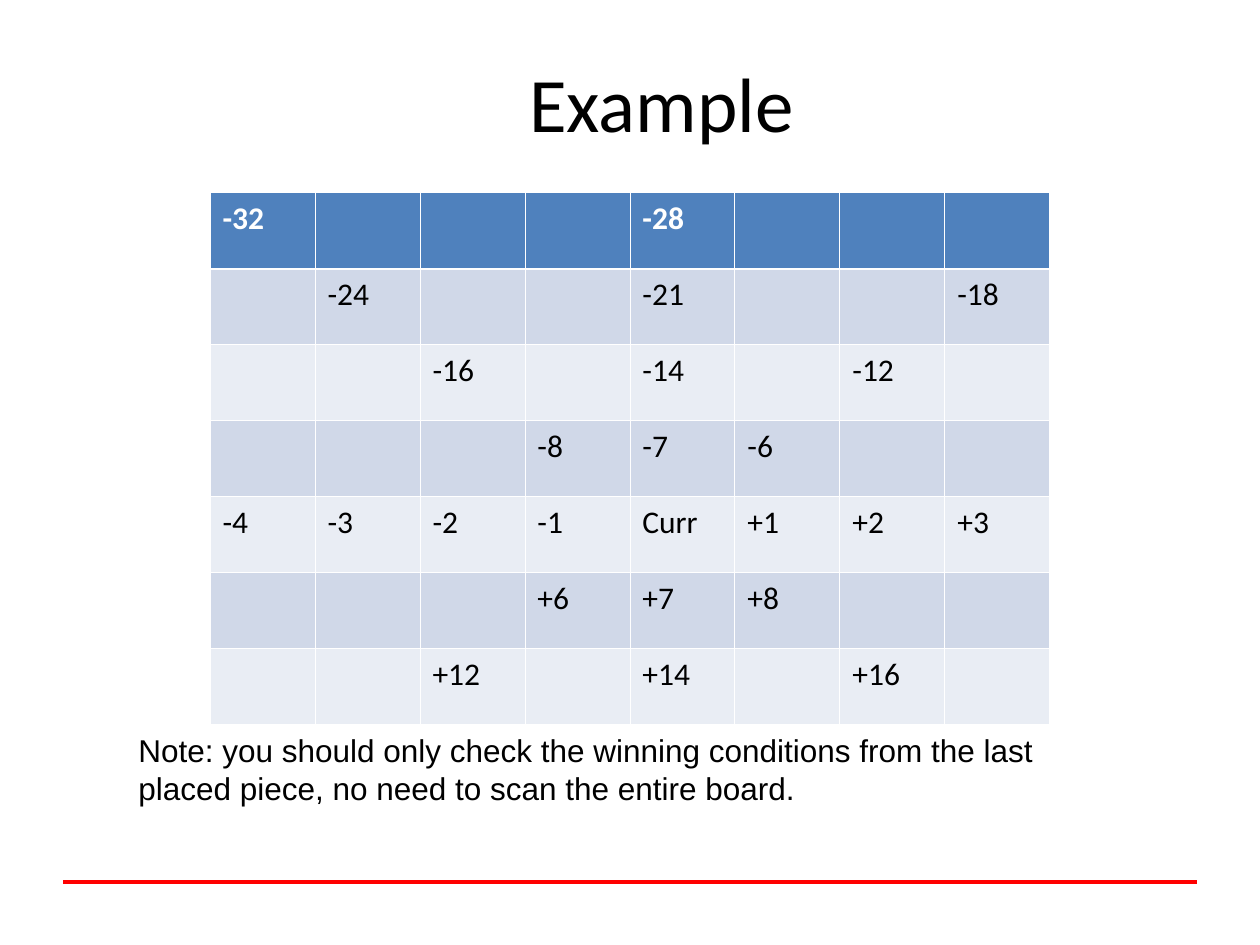
from dataclasses import dataclass

from lxml.etree import SubElement
from pptx import Presentation
from pptx.dml.color import RGBColor
from pptx.enum.shapes import MSO_CONNECTOR
from pptx.enum.text import MSO_ANCHOR, PP_ALIGN
from pptx.oxml.ns import qn
from pptx.util import Inches, Pt


@dataclass(frozen=True)
class Theme:
    heading_font: str = "Calibri"
    note_font: str = "Arial"
    title_size: float = 44
    body_size: float = 18
    text: str = "000000"
    light: str = "FFFFFF"
    header: str = "4F81BD"
    bands: tuple = ("E9EDF4", "D0D8E8")  # even rows, odd rows
    rule: str = "FF0000"
    thin: float = 0.45
    thick: float = 1.47


THEME = Theme()
WIDTH, HEIGHT = Inches(10), Inches(7.5)
ROWS, COLUMNS = 7, 8
STEP = 7  # index distance between neighbouring rows
CURRENT_ROW, CURRENT_COLUMN = 4, 4


def share(left, top, width, height):
    """Turn shares of the slide into a box."""
    return (round(left * WIDTH), round(top * HEIGHT),
            round(width * WIDTH), round(height * HEIGHT))


def style_font(paragraph, name, size, color, bold=False):
    font = paragraph.font
    font.name, font.size, font.bold = name, Pt(size), bold
    font.color.rgb = RGBColor.from_string(color)


def add_title(slide, box, text):
    title = slide.shapes.title
    title.left, title.top, title.width, title.height = box
    title.text_frame.text = text
    title.text_frame.vertical_anchor = MSO_ANCHOR.MIDDLE
    paragraph = title.text_frame.paragraphs[0]
    paragraph.alignment = PP_ALIGN.CENTER
    style_font(paragraph, THEME.heading_font, THEME.title_size, THEME.text)


def offset_label(row, column):
    """Index offset of squares on a line through the current square."""
    down, across = row - CURRENT_ROW, column - CURRENT_COLUMN
    if down == across == 0:
        return "Curr"
    if 0 in (down, across) or abs(down) == abs(across):
        return f"{STEP * down + across:+d}"
    return ""


def set_borders(cell, row):
    widths = {"lnL": THEME.thin, "lnR": THEME.thin,
              "lnT": THEME.thick if row == 1 else THEME.thin,
              "lnB": THEME.thick if row == 0 else THEME.thin}
    properties = cell._tc.get_or_add_tcPr()
    for side, width in widths.items():
        line = SubElement(properties, qn(f"a:{side}"), w=str(Pt(width)))
        fill = SubElement(line, qn("a:solidFill"))
        SubElement(fill, qn("a:srgbClr"), val=THEME.light)


def add_board(slide, box):
    table = slide.shapes.add_table(ROWS, COLUMNS, *box).table
    table.horz_banding = False
    for column in table.columns:
        column.width = box[2] // COLUMNS
    for row_index, row in enumerate(table.rows):
        row.height = box[3] // ROWS
        is_header = row_index == 0
        fill = THEME.header if is_header else THEME.bands[row_index % 2]
        color = THEME.light if is_header else THEME.text
        for column_index, cell in enumerate(row.cells):
            set_borders(cell, row_index)
            cell.fill.solid()
            cell.fill.fore_color.rgb = RGBColor.from_string(fill)
            cell.text = offset_label(row_index, column_index)
            style_font(cell.text_frame.paragraphs[0], THEME.heading_font,
                       THEME.body_size, color, is_header)


def add_note(slide, box, text):
    frame = slide.shapes.add_textbox(*box).text_frame
    frame.word_wrap = True
    frame.text = text
    style_font(frame.paragraphs[0], THEME.note_font, THEME.body_size, THEME.text)


def add_footer_rule(slide, box):
    left, top, width, height = box
    rule = slide.shapes.add_connector(MSO_CONNECTOR.STRAIGHT, left, top,
                                      left + width, top + height)
    rule.line.color.rgb = RGBColor.from_string(THEME.rule)
    rule.line.width = Pt(2)
    SubElement(rule._element.spPr, qn("a:effectLst"))


def main():
    presentation = Presentation()
    presentation.slide_width, presentation.slide_height = WIDTH, HEIGHT
    slide = presentation.slides.add_slide(presentation.slide_layouts[5])

    # Footer line, behind the content
    add_footer_rule(slide, share(1 / 20, 14 / 15, 18 / 20, 0))
    # Heading
    add_title(slide, share(0.1, 0, 0.85, 0.215), "Example")
    # Board of index offsets, centred on the slide
    add_board(slide, share(1 / 6, 0.204, 2 / 3, 0.563))
    # Note below the board
    add_note(slide, share(0.1, 0.767, 0.8, 0.093),
             "Note: you should only check the winning conditions from the last "
             "placed piece, no need to scan the entire board.")

    presentation.save("out.pptx")


if __name__ == "__main__":
    main()
